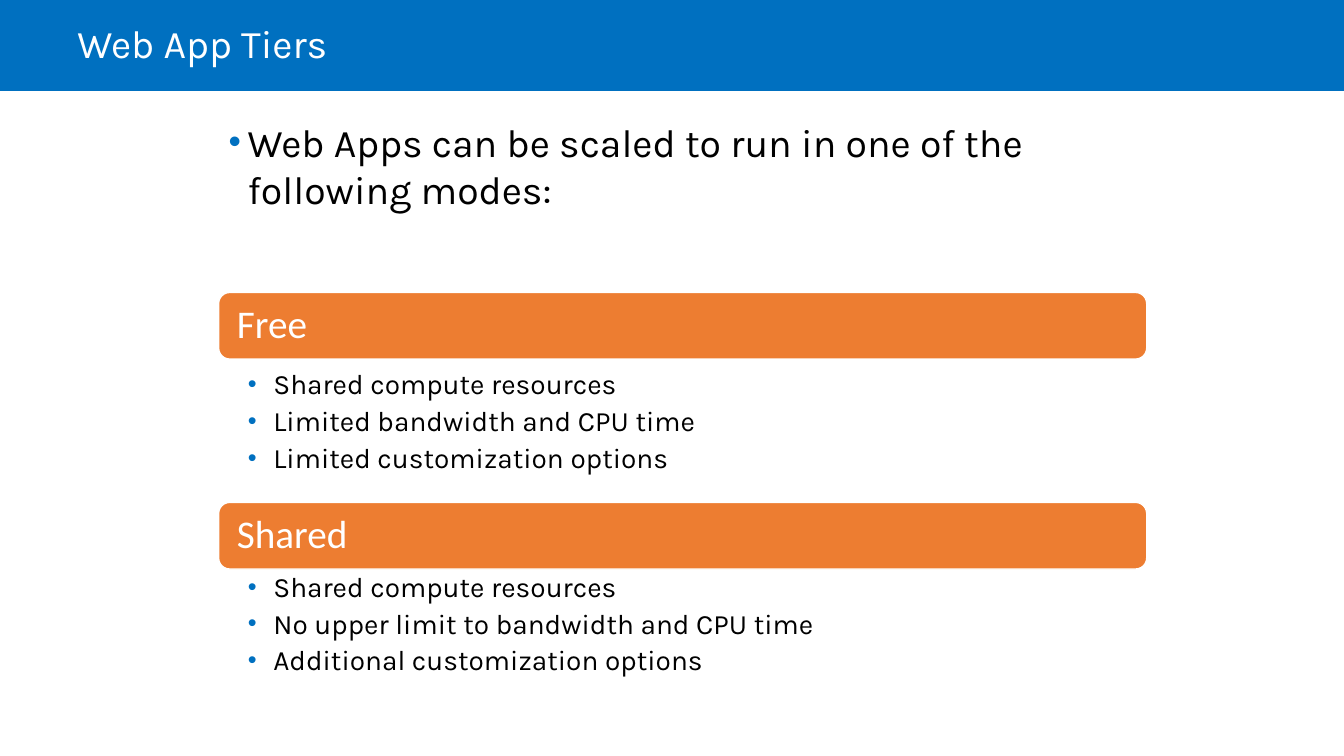
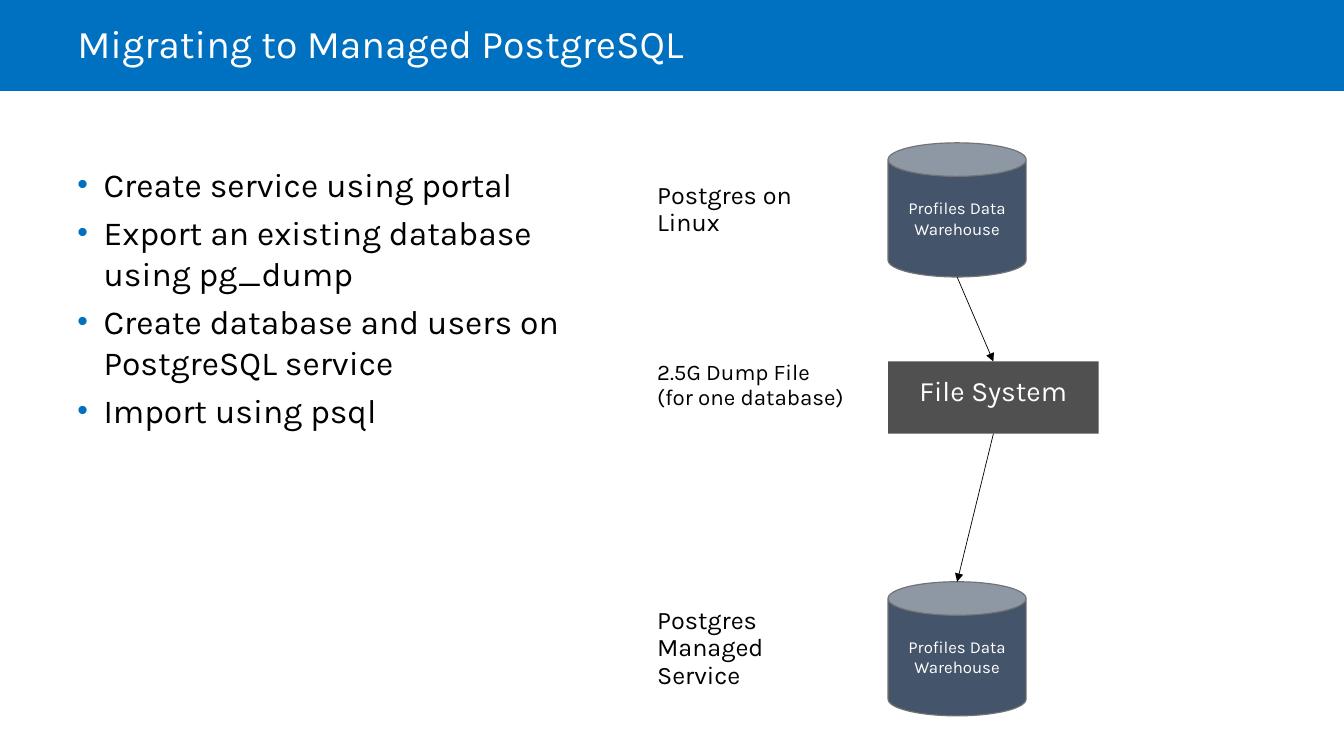
from lxml import etree
from pptx import Presentation
from pptx import util as u
from pptx.dml.color import RGBColor
from pptx.enum import shapes, text
from pptx.oxml.ns import qn

BLUE, ORANGE, NAVY, GREY = "0070C0", "ED7D31", "44546A", "505050"
BLACK, WHITE, EDGE = "000000", "FFFFFF", "737373"
WIDE, HIGH, BAR = 33.87, 19.05, 2.29
KIND = shapes.MSO_SHAPE
MID = text.MSO_ANCHOR.MIDDLE
TOP = text.MSO_ANCHOR.TOP


def tint(code):
    return RGBColor.from_string(code)


def add(node, tag, **attrs):
    return etree.SubElement(node, qn(tag), **attrs)


def bullet(para, indent):
    props = para._p.get_or_add_pPr()
    width = int(u.Cm(indent))
    props.set("marL", str(width))
    props.set("indent", str(-width))
    add(add(props, "a:buClr"), "a:srgbClr", val=BLUE)
    add(props, "a:buSzPct", val="90000")
    add(props, "a:buFont", typeface="Arial")
    add(props, "a:buChar", char="•")


def write(shape, lines, size=20, color=BLACK, font="Karla", anchor=TOP,
          pad=(0.25, 0.13), align=text.PP_ALIGN.LEFT, pitch=1.0,
          before=0, after=0, indent=0):
    frame = shape.text_frame
    frame.word_wrap = True
    frame.vertical_anchor = anchor
    frame.margin_left = frame.margin_right = u.Cm(pad[0])
    frame.margin_top = frame.margin_bottom = u.Cm(pad[1])
    for i, line in enumerate(lines):
        para = frame.add_paragraph() if i else frame.paragraphs[0]
        para.alignment = align
        para.line_spacing = pitch
        para.space_before = u.Pt(before if i else 0)
        para.space_after = u.Pt(after)
        if indent:
            bullet(para, indent)
        run = para.add_run()
        run.text = line
        run.font.size = u.Pt(size)
        run.font.name = font
        run.font.color.rgb = tint(color)


class Deck:
    def __init__(self):
        self.file = Presentation()
        self.file.slide_width = u.Cm(WIDE)
        self.file.slide_height = u.Cm(HIGH)

    def page(self, title):
        self.slide = self.file.slides.add_slide(self.file.slide_layouts[6])
        self.shape(KIND.RECTANGLE, (0, 0, WIDE, BAR), BLUE)
        self.label((1.7, 0, 30.48, BAR), [title], size=28, color=WHITE,
                   anchor=MID, pitch=0.9)

    def shape(self, kind, place, fill, line=None, weight=1):
        item = self.slide.shapes.add_shape(kind, *map(u.Cm, place))
        item.shadow.inherit = False
        item.fill.solid()
        item.fill.fore_color.rgb = tint(fill)
        if line:
            item.line.color.rgb = tint(line)
            item.line.width = u.Pt(weight)
        else:
            item.line.fill.background()
        return item

    def label(self, place, lines, **style):
        box = self.slide.shapes.add_textbox(*map(u.Cm, place))
        write(box, lines, **style)

    def tier(self, top, name, gap, points):
        left, wide, high = 5.51, 23.39, 1.68
        band = self.shape(KIND.ROUNDED_RECTANGLE, (left, top, wide, high),
                          ORANGE, WHITE)
        write(band, [name], size=28, color=WHITE, font="Calibri",
              anchor=MID, pad=(0.38, 0.13), pitch=0.9)
        self.label((left, top + high + gap, wide, 2.8), points,
                   pad=(0.74, 0.08), pitch=0.9, after=4.7, indent=0.64)

    def store(self, left, top, name):
        can = self.shape(KIND.CAN, (left, top, 3.48, 3.38), NAVY, EDGE, 0.85)
        write(can, [name], size=12, color=WHITE, anchor=MID,
              align=text.PP_ALIGN.CENTER)
        return can

    def note(self, top, high, words, size=18):
        self.label((16.05, top, 5.87, high), [words], size=size, anchor=MID,
                   pad=(0.51, 0.41), pitch=0.9)

    def arrow(self, above, below):
        line = self.slide.shapes.add_connector(
            shapes.MSO_CONNECTOR.STRAIGHT,
            above.left + above.width // 2, above.top + above.height,
            below.left + below.width // 2, below.top)
        line.line.color.rgb = tint(BLACK)
        line.line.width = u.Pt(0.5)
        add(line.line._get_or_add_ln(), "a:tailEnd", type="triangle")
        add(line._element.spPr, "a:effectLst")


def tiers(deck):
    deck.page("Web App Tiers")
    deck.label((5.51, 2.84, 22.56, 3), [
        "Web Apps can be scaled to run in one of the following modes:",
    ], size=28, indent=0.48)
    deck.tier(7.37, "Free", 0.2, [
        "Shared compute resources",
        "Limited bandwidth and CPU time",
        "Limited customization options",
    ])
    deck.tier(12.66, "Shared", 0.02, [
        "Shared compute resources",
        "No upper limit to bandwidth and CPU time",
        "Additional customization options",
    ])


def move(deck):
    deck.page("Migrating to Managed PostgreSQL")
    deck.label((1.7, 3.99, 12.78, 13.03), [
        "Create service using portal",
        "Export an existing database using pg_dump",
        "Create database and users on PostgreSQL service",
        "Import using psql",
    ], size=24, before=6, indent=0.66)
    left = 22.38
    source, target = (deck.store(left, top, "Profiles Data Warehouse")
                      for top in (3.6, 14.66))
    disk = deck.shape(KIND.RECTANGLE, (left, 9.11, 5.31, 1.82), GREY)
    write(disk, ["File System"], color=WHITE, pad=(0.51, 0.41),
          align=text.PP_ALIGN.CENTER, pitch=0.9)
    deck.arrow(source, disk)
    deck.arrow(disk, target)
    deck.note(4.52, 1.52, "Postgres on Linux")
    deck.note(8.69, 2.06, "2.5G Dump File (for one database)", size=16)
    deck.note(15.24, 2.21, "Postgres Managed Service")


def main():
    deck = Deck()
    tiers(deck)
    move(deck)
    deck.file.save("out.pptx")


if __name__ == "__main__":
    main()
